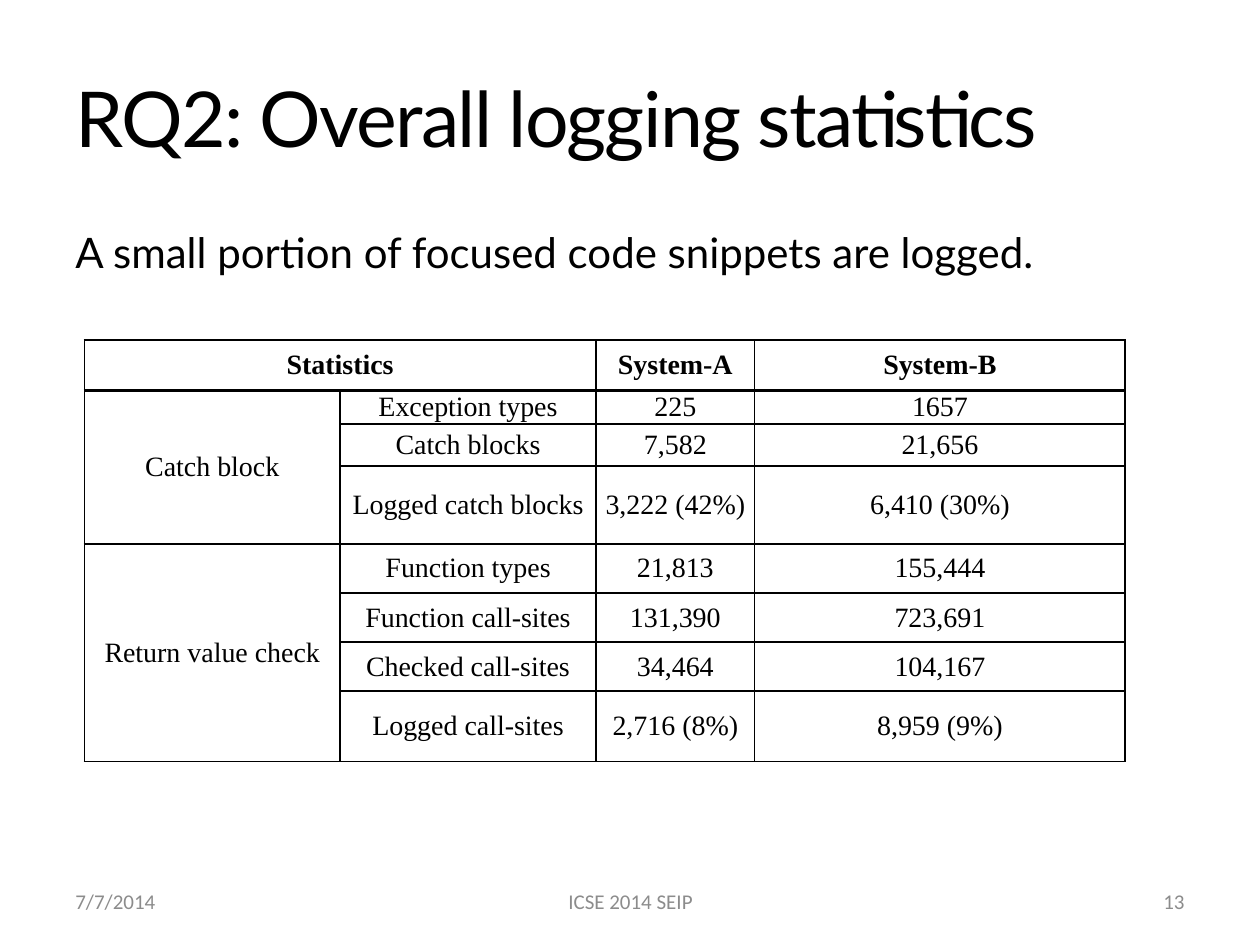
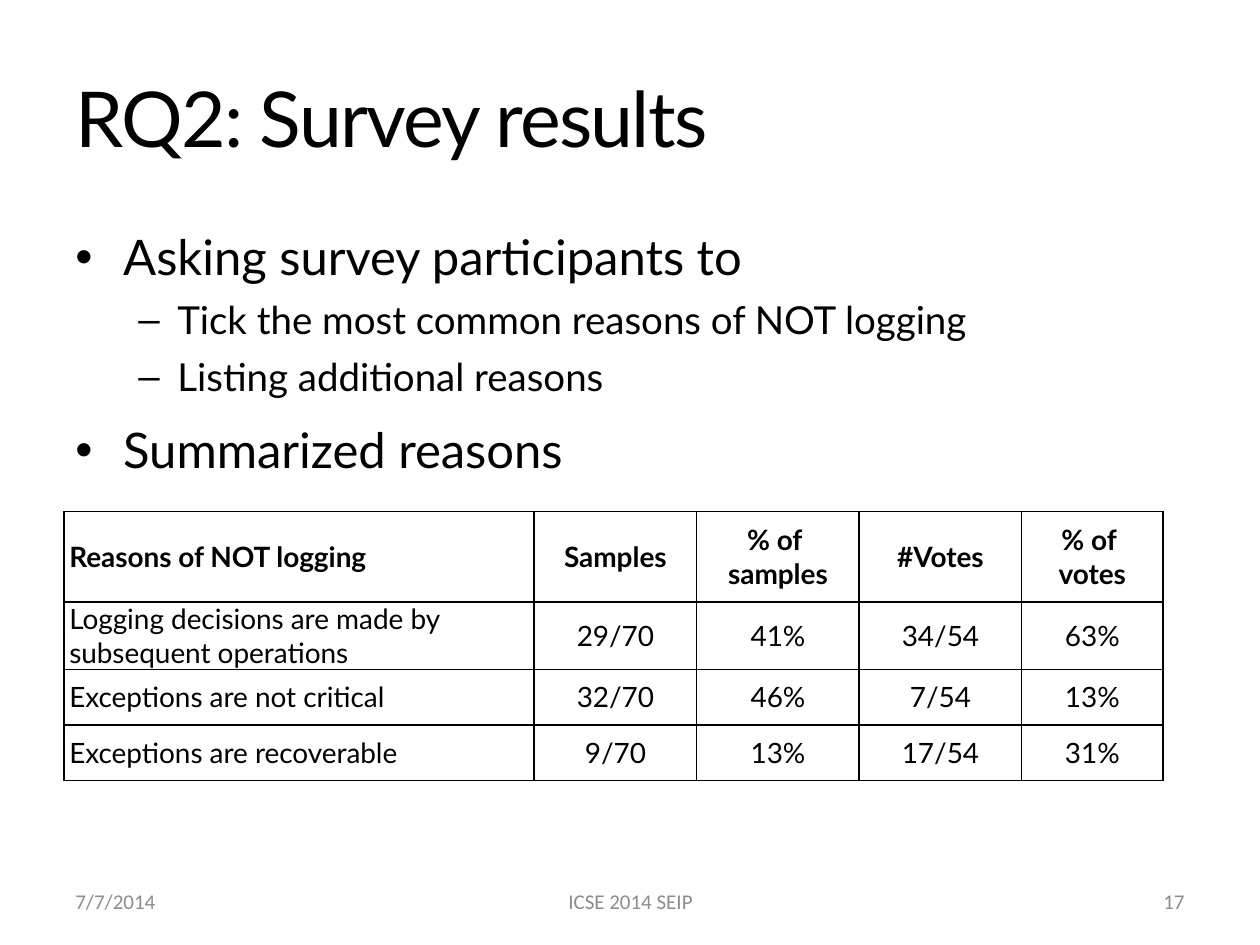
from dataclasses import dataclass
from typing import Optional

from lxml.etree import SubElement
from pptx import Presentation
from pptx.dml.color import RGBColor
from pptx.enum.text import MSO_ANCHOR, PP_ALIGN
from pptx.oxml import parse_xml
from pptx.oxml.ns import nsdecls, qn
from pptx.slide import Slide
from pptx.table import _Cell
from pptx.text.text import TextFrame, _Paragraph
from pptx.util import Inches, Pt

BLACK = RGBColor(0, 0, 0)
GREY = RGBColor(0x8C, 0x8C, 0x8C)
MAIN, FOOT, SERIF = "Lato", "Calibri", "Times New Roman"
LEFT, MID, RIGHT = PP_ALIGN.LEFT, PP_ALIGN.CENTER, PP_ALIGN.RIGHT
WIDE, HIGH = Inches(10), Inches(7.5)
COL, ROW = WIDE / 20, HIGH / 30


@dataclass(frozen=True)
class Box:
    """A place on the grid of 20 columns and 30 rows."""
    col: float
    row: float
    wide: float
    high: float

    def place(self) -> tuple[int, int, int, int]:
        """Return left, top, width and height."""
        return (round(self.col * COL), round(self.row * ROW),
                round(self.wide * COL), round(self.high * ROW))


@dataclass(frozen=True)
class Style:
    """The look of a run of text."""
    font: str
    size: float
    color: RGBColor = BLACK
    bold: bool = False
    track: int = 0


@dataclass(frozen=True)
class Level:
    """A rank of body text: size, space before, indent and mark."""
    size: float
    gap: float
    left: float = 0
    hang: float = 0
    mark: Optional[str] = None


@dataclass(frozen=True)
class Grid:
    """A ruled table with heavy lines under some rows."""
    col: float
    row: float
    cols: list[float]
    rows: list[float]
    cells: list[list[str]]
    font: str
    pad: float
    heavy: set[int]
    lead: PP_ALIGN
    spans: tuple[tuple[int, int, int, int], ...] = ()


TITLE = Box(1, 1.2, 18, 5)
BODY = Box(1, 7, 18, 19.8)
DATE = Box(1, 27.8, 4.66, 1.6)
EVENT = Box(6.84, 27.8, 6.34, 1.6)
PAGE = Box(14.34, 27.8, 4.66, 1.6)
HEAD = Style(MAIN, 44, track=-100)
SMALL = Style(FOOT, 12, GREY)
PLAIN = Level(24, 12)
TOP = Level(28, 12, 0.38, -0.38, "•")
SUB = Level(22, 6, 0.81, -0.31, "–")


def dress(para: _Paragraph, style: Style, align: PP_ALIGN) -> None:
    """Format one paragraph and its runs."""
    para.alignment = align
    for run in para.runs:
        font = run.font
        font.name, font.size, font.bold = style.font, Pt(style.size), style.bold
        font.color.rgb = style.color
        if style.track:
            run._r.get_or_add_rPr().set("spc", str(style.track))


def frame(slide: Slide, box: Box, anchor: MSO_ANCHOR) -> TextFrame:
    """Add a wrapping text box and return its frame."""
    text = slide.shapes.add_textbox(*box.place()).text_frame
    text.word_wrap, text.vertical_anchor = True, anchor
    return text


def label(slide: Slide, box: Box, words: str, style: Style, align: PP_ALIGN) -> None:
    """Add a single line of text."""
    text = frame(slide, box, MSO_ANCHOR.MIDDLE)
    text.text = words
    dress(text.paragraphs[0], style, align)


def body(slide: Slide, lines: list[tuple[Level, str]]) -> None:
    """Add the body text with its bullets."""
    text = frame(slide, BODY, MSO_ANCHOR.TOP)
    text.text = "\n".join(words for _, words in lines)
    for para, (level, _) in zip(text.paragraphs, lines):
        dress(para, Style(MAIN, level.size), LEFT)
        para.space_before = Pt(level.gap)
        if level.mark:
            props = para._p.get_or_add_pPr()
            props.set("marL", str(Inches(level.left)))
            props.set("indent", str(Inches(level.hang)))
            SubElement(props, qn("a:buFont")).set("typeface", "Arial")
            SubElement(props, qn("a:buChar")).set("char", level.mark)


def rule(cell: _Cell, top: float, base: float) -> None:
    """Draw the four borders of a cell."""
    cell.fill.background()
    props = cell._tc.get_or_add_tcPr()
    for spot, (side, width) in enumerate(zip("LRTB", (1, 1, top, base))):
        props.insert(spot, parse_xml(
            f'<a:ln{side} {nsdecls("a")} w="{Pt(width)}"><a:solidFill>'
            f'<a:srgbClr val="{BLACK}"/></a:solidFill></a:ln{side}>'))


def table(slide: Slide, grid: Grid) -> None:
    """Add a ruled table."""
    box = Box(grid.col, grid.row, sum(grid.cols), sum(grid.rows))
    tab = slide.shapes.add_table(len(grid.rows), len(grid.cols), *box.place()).table
    tab.first_row = tab.horz_banding = False
    for col, wide in zip(tab.columns, grid.cols):
        col.width = round(wide * COL)
    for row, high in zip(tab.rows, grid.rows):
        row.height = round(high * ROW)
    for row, col, down, over in grid.spans:
        tab.cell(row, col).merge(tab.cell(down, over))
    for r, row in enumerate(grid.cells):
        for c, words in enumerate(row):
            cell = tab.cell(r, c)
            cell.margin_left = cell.margin_right = Inches(grid.pad)
            cell.margin_top = cell.margin_bottom = 0
            cell.vertical_anchor = MSO_ANCHOR.MIDDLE
            last = r + cell.span_height - 1
            rule(cell, 1.5 if r - 1 in grid.heavy else 1,
                 1.5 if last in grid.heavy else 1)
            cell.text_frame.text = words
            for para in cell.text_frame.paragraphs:
                dress(para, Style(grid.font, 16, bold=r == 0), MID if c else grid.lead)


STATS = Grid(
    1.34, 10.8, [4.06, 4.06, 2.52, 5.88],
    [1.6, 0.88, 1.32, 2.48, 1.56, 1.56, 1.56, 2.24],
    [["Statistics", "", "System-A", "System-B"],
     ["Catch block", "Exception types", "225", "1657"],
     ["", "Catch blocks", "7,582", "21,656"],
     ["", "Logged catch blocks", "3,222 (42%)", "6,410 (30%)"],
     ["Return value check", "Function types", "21,813", "155,444"],
     ["", "Function call-sites", "131,390", "723,691"],
     ["", "Checked call-sites", "34,464", "104,167"],
     ["", "Logged call-sites", "2,716 (8%)", "8,959 (9%)"]],
    SERIF, 0, {0, 3}, MID, ((0, 0, 0, 1), (1, 0, 3, 0), (4, 0, 7, 0)))

VOTES = Grid(
    1.02, 16.24, [7.46, 2.58, 2.58, 2.58, 2.24], [2.88, 1.76, 1.76, 1.76],
    [["Reasons of NOT logging", "Samples", "% of \nsamples", "#Votes", "% of \nvotes"],
     ["Logging decisions are made by subsequent operations",
      "29/70", "41%", "34/54", "63%"],
     ["Exceptions are not critical", "32/70", "46%", "7/54", "13%"],
     ["Exceptions are recoverable", "9/70", "13%", "17/54", "31%"]],
    MAIN, 0.04, {0}, LEFT)

PAGES = [
    ("RQ2: Overall logging statistics", "13",
     [(PLAIN, "A small portion of focused code snippets are logged.")], STATS),
    ("RQ2: Survey results", "17",
     [(TOP, "Asking survey participants to "),
      (SUB, "Tick the most common reasons of NOT logging"),
      (SUB, "Listing additional reasons"),
      (TOP, "Summarized reasons")], VOTES),
]


def main() -> None:
    """Build and save the deck."""
    deck = Presentation()
    deck.slide_width, deck.slide_height = WIDE, HIGH
    for title, page, lines, grid in PAGES:
        slide = deck.slides.add_slide(deck.slide_layouts[6])
        label(slide, TITLE, title, HEAD, LEFT)
        body(slide, lines)
        label(slide, PAGE, page, SMALL, RIGHT)
        table(slide, grid)
        label(slide, DATE, "7/7/2014", SMALL, LEFT)
        label(slide, EVENT, "ICSE 2014 SEIP", SMALL, MID)
    deck.save("out.pptx")


main()
